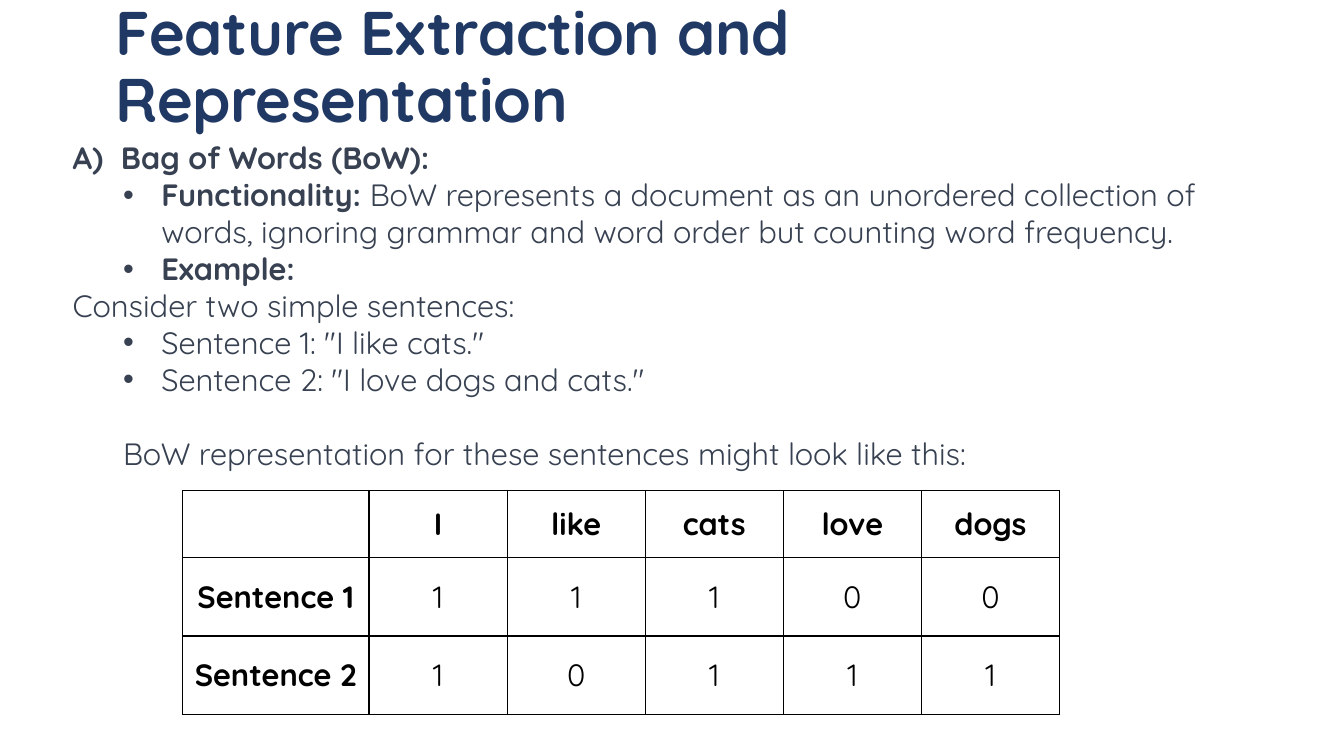
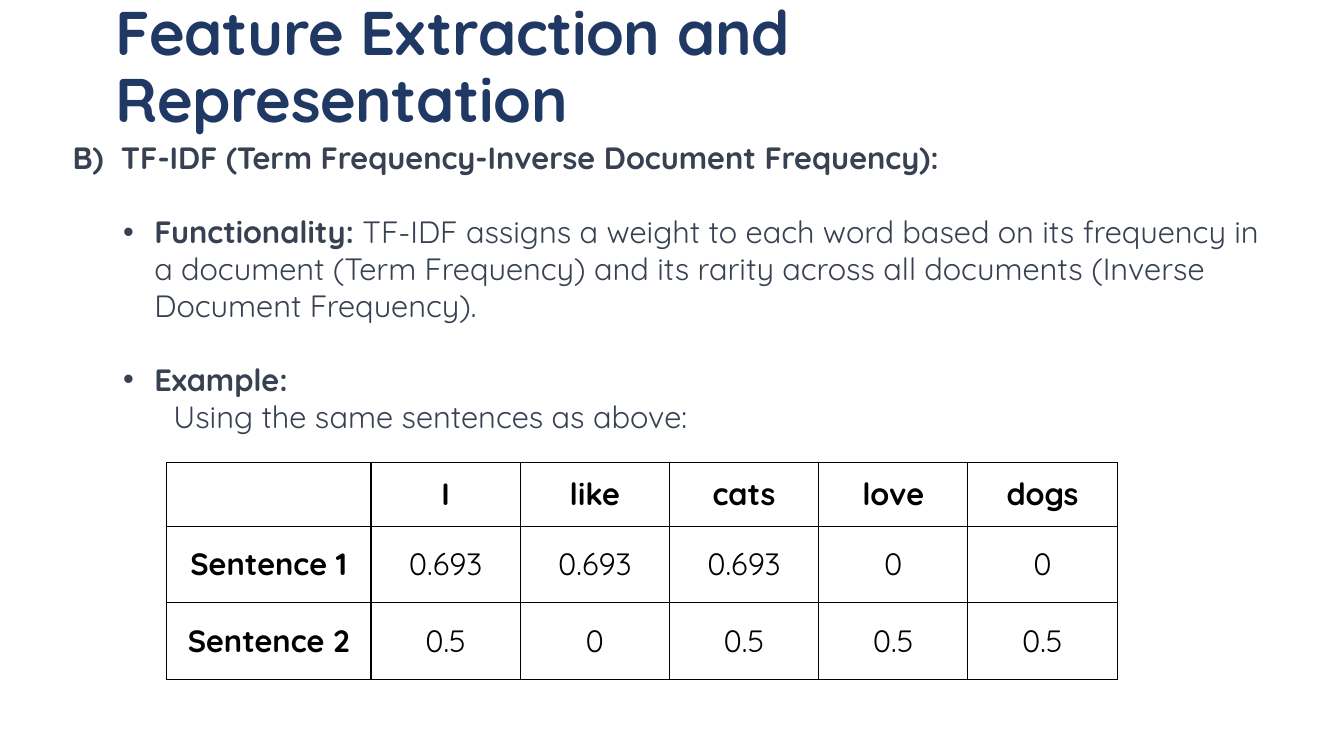
from lxml import etree
from pptx import Presentation
from pptx.dml.color import RGBColor
from pptx.enum.text import MSO_ANCHOR, MSO_AUTO_SIZE, PP_ALIGN
from pptx.oxml.ns import qn
from pptx.util import Inches, Pt

LEFT, CENTER = PP_ALIGN.LEFT, PP_ALIGN.CENTER
MIDDLE, TOP = MSO_ANCHOR.MIDDLE, MSO_ANCHOR.TOP
FIT_SHAPE = MSO_AUTO_SIZE.SHAPE_TO_FIT_TEXT

FONT = "Quicksand"
NAVY, SLATE, BLACK = "203864", "374151", "000000"
TITLE = "Feature Extraction and Representation"
BODY_SIZE = 22
LINE_GAP = 26.4
WORDS = ["", "I", "like", "cats", "love", "dogs"]


def color(hex_code):
    """Turn a hex string into a colour."""
    return RGBColor.from_string(hex_code)


def add_span(para, text, size=BODY_SIZE, hue=SLATE, bold=False, tracking=None):
    """Add formatted text to a paragraph."""
    span = para.add_run()
    span.text = text
    font = span.font
    font.name, font.size, font.bold = FONT, Pt(size), bold
    font.color.rgb = color(hue)
    if tracking is not None:
        font._element.set("spc", str(round(tracking * 100)))


def set_indent(para, margin, hanging=0, bullet=False):
    """Set the left margin, the hanging indent and the bullet."""
    props = para._p.get_or_add_pPr()
    props.set("marL", str(Inches(margin)))
    props.set("indent", str(Inches(-hanging)))
    if bullet:
        etree.SubElement(props, qn("a:buFont"), typeface="Arial")
        etree.SubElement(props, qn("a:buChar"), char="•")
    else:
        etree.SubElement(props, qn("a:buNone"))


def place(shape, left, top, width, height):
    """Move and size a shape, in inches."""
    shape.left, shape.top = Inches(left), Inches(top)
    shape.width, shape.height = Inches(width), Inches(height)


def fill_title(slide):
    """Write the shared title."""
    box = slide.shapes.title
    place(box, 1.14, 0.33, 11.05, 0.7)
    frame = box.text_frame
    frame.word_wrap, frame.auto_size = True, FIT_SHAPE
    frame.vertical_anchor = MIDDLE
    frame.margin_left = frame.margin_right = frame.margin_bottom = 0
    frame.margin_top = Inches(0.01)
    para = frame.paragraphs[0]
    para.alignment, para.line_spacing, para.space_before = LEFT, 0.9, Pt(1)
    set_indent(para, 0.01)
    add_span(para, TITLE, size=44, hue=NAVY, bold=True, tracking=-0.3)


def fill_body(slide, height, lines):
    """Write the body lines, each with its lead, text and indent."""
    box = slide.placeholders[1]
    place(box, 0.62, 1.33, 12.22, height)
    frame = box.text_frame
    frame.word_wrap, frame.auto_size = True, FIT_SHAPE
    frame.vertical_anchor = TOP
    for number, line in enumerate(lines):
        para = frame.add_paragraph() if number else frame.paragraphs[0]
        para.level = line.get("level", 0)
        para.alignment, para.line_spacing = LEFT, 1.0
        para.space_before = Pt(LINE_GAP if line.get("gap") else 0)
        para.space_after = Pt(0)
        set_indent(para, *line.get("indent", (0,)))
        if "lead" in line:
            add_span(para, line["lead"], bold=True)
        if "text" in line:
            add_span(para, line["text"])


def add_borders(cell, hue=BLACK, width=1):
    """Draw a solid line on all four sides of a cell."""
    props = cell._tc.get_or_add_tcPr()
    for side in ("lnL", "lnR", "lnT", "lnB"):
        line = etree.SubElement(props, qn(f"a:{side}"), w=str(Pt(width)))
        fill = etree.SubElement(line, qn("a:solidFill"))
        etree.SubElement(fill, qn("a:srgbClr"), val=hue)


def add_weights(slide, left, top, columns, rows, weights):
    """Add the table of word weights, with bold headings."""
    first, other = columns
    widths = [first] + [other] * (len(WORDS) - 1)
    head, line = rows
    heights = [head] + [line] * len(weights)
    records = [WORDS] + [
        [f"Sentence {number}", *values] for number, values in enumerate(weights, 1)
    ]
    table = slide.shapes.add_table(
        len(records), len(WORDS), Inches(left), Inches(top),
        Inches(sum(widths)), Inches(sum(heights)),
    ).table
    table.first_row = table.horz_banding = False
    for column, width in zip(table.columns, widths):
        column.width = Inches(width)
    for r, (record, height) in enumerate(zip(records, heights)):
        table.rows[r].height = Inches(height)
        for c, value in enumerate(record):
            cell = table.cell(r, c)
            cell.vertical_anchor = MIDDLE
            add_borders(cell)
            cell.fill.background()
            para = cell.text_frame.paragraphs[0]
            para.alignment = CENTER
            if value:
                add_span(para, value, hue=BLACK, bold=r == 0 or c == 0)


def add_topic(deck, height, lines):
    """Add a slide with the shared title and its own body."""
    slide = deck.slides.add_slide(deck.slide_layouts[1])
    fill_title(slide)
    fill_body(slide, height, lines)
    return slide


def add_bag_of_words(deck):
    """Add the slide on word counts."""
    item = {"level": 1, "indent": (0.88, 0.38, True)}
    slide = add_topic(deck, 3.43, [
        {"lead": "A)\tBag of Words (BoW):", "indent": (0.48, 0.48)},
        {**item, "lead": "Functionality: ",
         "text": "BoW represents a document as an unordered collection of words, "
                 "ignoring grammar and word order but counting word frequency."},
        {**item, "lead": "Example:"},
        {"text": "Consider two simple sentences:"},
        {**item, "text": 'Sentence 1: "I like cats."'},
        {**item, "text": 'Sentence 2: "I love dogs and cats."'},
        {"text": "BoW representation for these sentences might look like this:",
         "level": 1, "indent": (0.5,), "gap": True},
    ])
    add_weights(slide, 1.81, 4.87, (1.85, 1.37), (0.66, 0.78),
                ["11100", "10111"])


def add_tf_idf(deck):
    """Add the slide on weighted frequencies."""
    item = {"level": 1, "indent": (0.81, 0.31, True), "gap": True}
    slide = add_topic(deck, 3.06, [
        {"lead": "B)\tTF-IDF (Term Frequency-Inverse Document Frequency):",
         "indent": (0.48, 0.48)},
        {**item, "lead": "Functionality:",
         "text": " TF-IDF assigns a weight to each word based on its frequency in "
                 "a document (Term Frequency) and its rarity across all documents "
                 "(Inverse Document Frequency)."},
        {**item, "lead": "Example:"},
        {"text": "Using the same sentences as above:", "level": 2, "indent": (1,)},
    ])
    add_weights(slide, 1.65, 4.59, (2.03, 1.48), (0.63, 0.76), [
        ["0.693", "0.693", "0.693", "0", "0"],
        ["0.5", "0", "0.5", "0.5", "0.5"],
    ])


def main():
    """Build and save the deck."""
    deck = Presentation()
    deck.slide_width, deck.slide_height = Inches(13.33), Inches(7.5)
    add_bag_of_words(deck)
    add_tf_idf(deck)
    deck.save("out.pptx")


if __name__ == "__main__":
    main()
